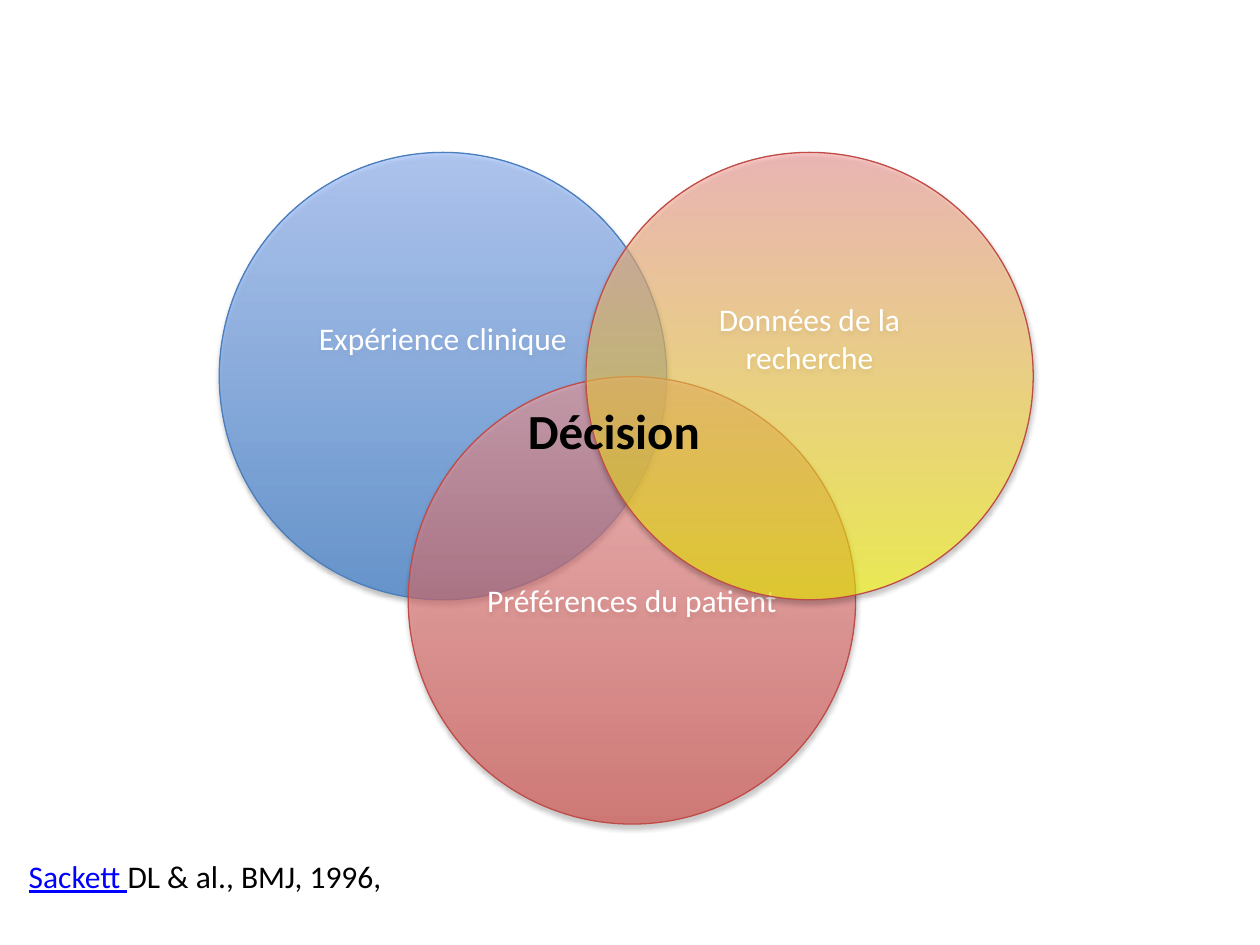
from dataclasses import dataclass

from lxml import etree
from pptx import Presentation
from pptx.dml.color import RGBColor
from pptx.enum.shapes import MSO_SHAPE
from pptx.enum.text import MSO_ANCHOR, PP_ALIGN
from pptx.oxml.ns import qn
from pptx.util import Inches, Pt

OVAL = MSO_SHAPE.OVAL
MIDDLE = MSO_ANCHOR.MIDDLE
CENTER = PP_ALIGN.CENTER

FONT = "Calibri"
SIZE = 3.55
TOP = 1.21
COLORS = {
    "blue": "3F80CE", "sky": "A4C4FF", "navy": "4B7EBC",
    "red": "D1403C", "pink": "FFA6A5", "brick": "BF4C48",
    "yellow": "FFFF00", "green": "77933C", "link": "0000FF",
    "white": "FFFFFF", "black": "000000",
}


@dataclass
class Circle:
    text: str
    left: float
    top: float
    low: str
    high: str
    line: str
    alpha: int
    lift: float = 0.05  # bottom inset, which raises the label


CIRCLES = [
    Circle("Expérience clinique", 1.74, TOP, "blue", "sky", "navy", 70, 0.66),
    Circle("Préférences du patient", 3.24, 2.99, "red", "pink", "brick", 59),
    Circle("Données de la recherche", 4.65, TOP, "yellow", "pink", "brick", 59, 0.66),
]


def rgb(name: str) -> RGBColor:
    return RGBColor.from_string(COLORS[name])


def node(parent, tag: str, **attrs):
    return etree.SubElement(parent, qn(tag), {k: str(v) for k, v in attrs.items()})


def style(font, size: float, color: str, bold: bool = False) -> None:
    font.name = FONT
    font.size = Pt(size)
    font.bold = bold
    font.color.rgb = rgb(color)


def add_shadow(shape) -> None:
    shape.shadow.inherit = False
    effects = shape._element.spPr.find(qn("a:effectLst"))
    outer = node(effects, "a:outerShdw", blurRad=Pt(3.1), dist=Pt(1.8),
                 dir=90 * 60000, rotWithShape=0)
    color = node(outer, "a:srgbClr", val=COLORS["black"])
    node(color, "a:alpha", val=35000)


def add_circle(slide, circle: Circle) -> None:
    shape = slide.shapes.add_shape(
        OVAL, Inches(circle.left), Inches(circle.top), Inches(SIZE), Inches(SIZE))
    shape.fill.gradient()
    shape.fill.gradient_angle = 90
    for stop, name, place in zip(
            shape.fill.gradient_stops, (circle.low, circle.high), (0, 1)):
        stop.color.rgb = rgb(name)
        stop.position = place
    for color in shape._element.spPr.iter(qn("a:srgbClr")):
        node(color, "a:alpha", val=circle.alpha * 1000)
    shape.line.color.rgb = rgb(circle.line)
    shape.line.width = Pt(0.75)
    add_shadow(shape)

    frame = shape.text_frame
    frame.word_wrap = True
    frame.vertical_anchor = MIDDLE
    frame.margin_bottom = Inches(circle.lift)
    para = frame.paragraphs[0]
    para.text = circle.text
    para.alignment = CENTER
    style(para.font, 18, "white")


def add_box(slide, left: float, top: float, width: float, height: float):
    """Add a text box and return its first paragraph."""
    box = slide.shapes.add_textbox(
        Inches(left), Inches(top), Inches(width), Inches(height))
    box.text_frame.word_wrap = True
    return box.text_frame.paragraphs[0]


def add_center(slide) -> None:
    para = add_box(slide, 4.09, 3.13, 1.61, 0.57)
    style(para.font, 28, "black", True)
    run = para.add_run()
    run.text = "Décision"
    edge = node(run._r.get_or_add_rPr(), "a:ln", w=Pt(0.75))
    node(node(edge, "a:solidFill"), "a:srgbClr", val=COLORS["green"])


def add_source(slide) -> None:
    para = add_box(slide, 0.13, 6.75, 5, 0.4)
    for text, color, under in (("Sackett ", "link", True),
                               ("DL & al., BMJ, 1996,", "black", False)):
        run = para.add_run()
        run.text = text
        style(run.font, 18, color)
        run.font.underline = under


def main() -> None:
    deck = Presentation()
    deck.slide_width, deck.slide_height = Inches(10), Inches(7.5)
    slide = deck.slides.add_slide(deck.slide_layouts[6])
    for circle in CIRCLES:
        add_circle(slide, circle)
    add_center(slide)
    add_source(slide)
    deck.save("out.pptx")


if __name__ == "__main__":
    main()
